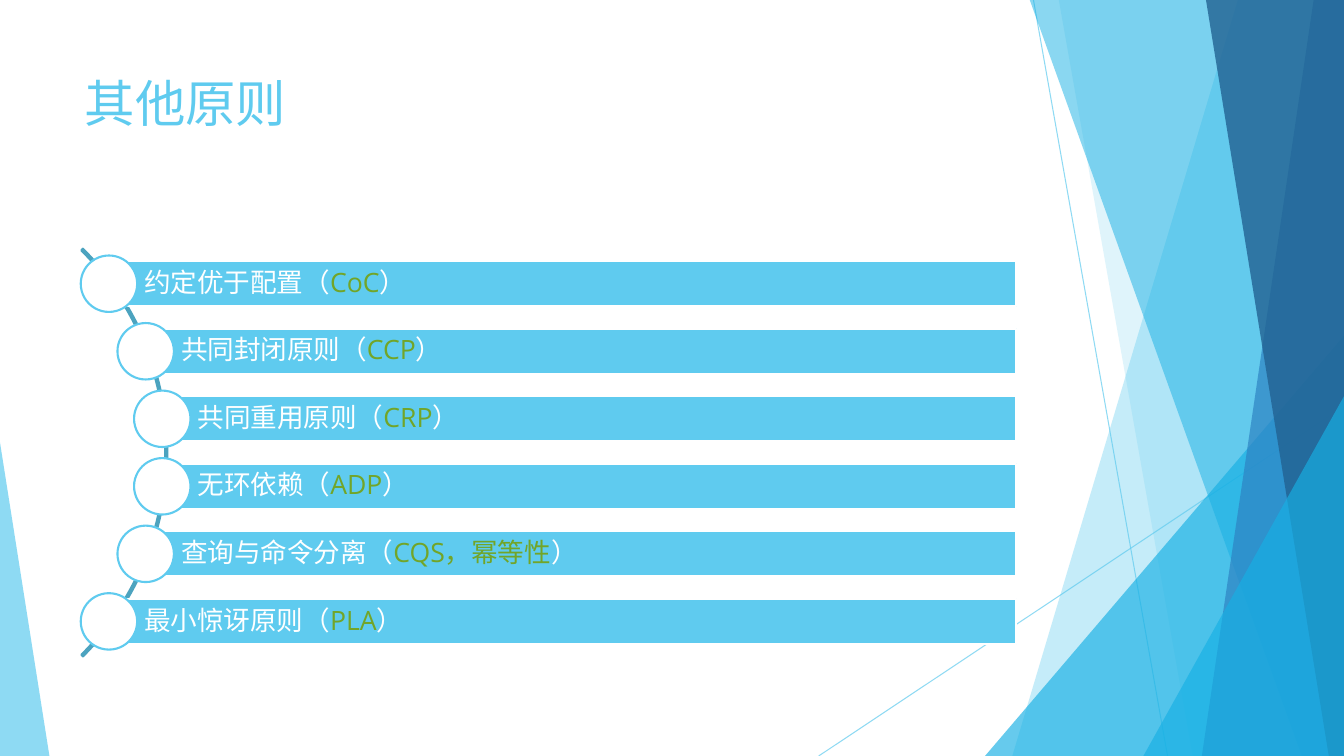
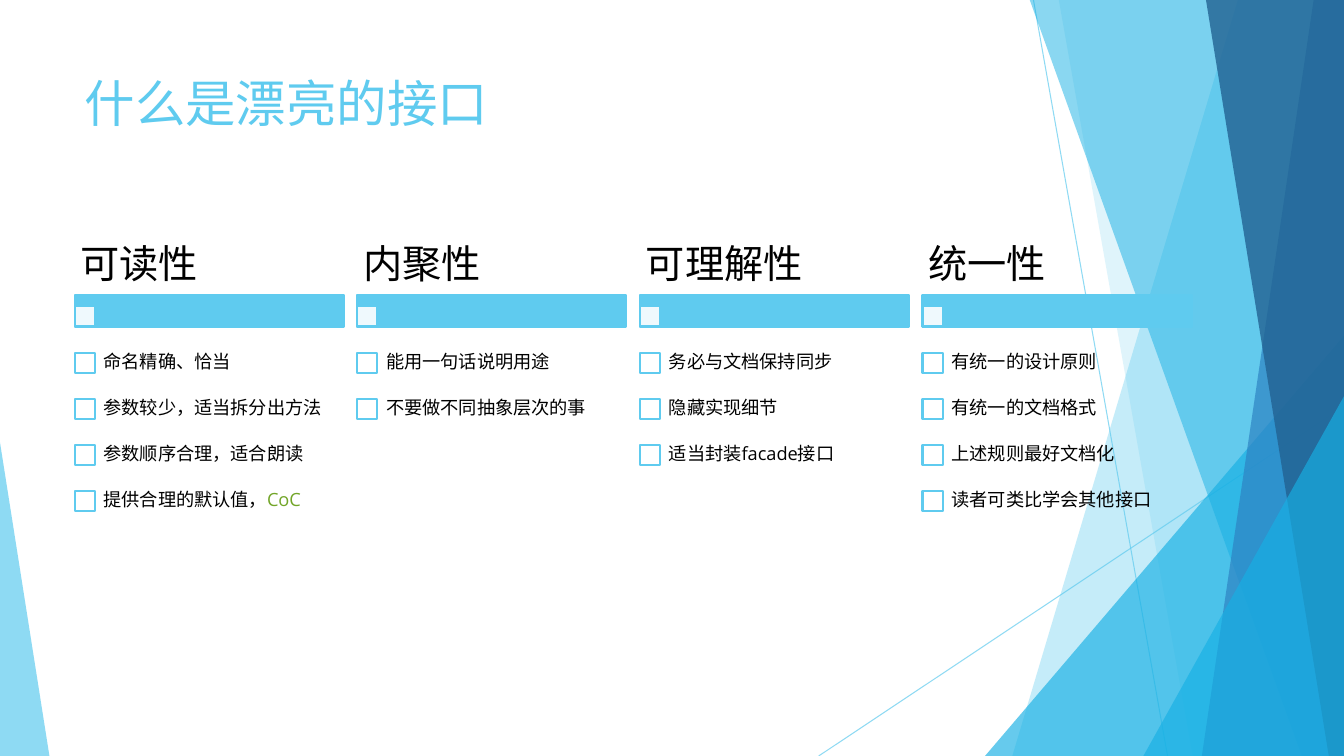
from math import sqrt

from lxml.etree import SubElement
from pptx import Presentation
from pptx.dml.color import RGBColor
from pptx.enum.lang import MSO_LANGUAGE_ID as Language
from pptx.enum.shapes import MSO_CONNECTOR, MSO_SHAPE as Preset
from pptx.enum.text import MSO_ANCHOR as Anchor, PP_ALIGN as Align
from pptx.oxml.ns import qn
from pptx.util import Inches, Pt

# Content: text between bars is highlighted
PRINCIPLES_TITLE = "其他原则"
PRINCIPLES = [
    "约定优于配置（|CoC|）",
    "共同封闭原则（|CCP|）",
    "共同重用原则（|CRP|）",
    "无环依赖（|ADP|）",
    "查询与命令分离（|CQS，幂等性|）",
    "最小惊讶原则（|PLA|）",
]
INTERFACE_TITLE = "什么是漂亮的接口"
QUALITIES = [
    ("可读性", ["命名精确、恰当", "参数较少，适当拆分出方法",
             "参数顺序合理，适合朗读", "提供合理的默认值，|CoC|"]),
    ("内聚性", ["能用一句话说明用途", "不要做不同抽象层次的事"]),
    ("可理解性", ["务必与文档保持同步", "隐藏实现细节", "适当封装facade接口"]),
    ("统一性", ["有统一的设计原则", "有统一的文档格式",
             "上述规则最好文档化", "读者可类比学会其他接口"]),
]

# Shared style
FONT = "Open Sans"
SKY = RGBColor(0x5F, 0xCB, 0xEF)
CYAN = RGBColor(0x17, 0xB0, 0xE4)
BLUE = RGBColor(0x2E, 0x83, 0xC3)
NAVY = RGBColor(0x22, 0x62, 0x92)
TEAL = RGBColor(0x4C, 0xA3, 0xBF)
GREEN = RGBColor(0x72, 0xA5, 0x28)
WHITE = RGBColor(0xFF, 0xFF, 0xFF)
BLACK = RGBColor(0, 0, 0)
WIDTH, HEIGHT = 13.33, 7.5
MARGIN = 0.74

# Backdrop, back to front
RAYS = [((10.25, 0), (11.58, HEIGHT)), ((WIDTH, 4.03), (8.12, HEIGHT))]
FACETS = [  # bands: left edge at top and bottom; triangles: box and apex
    ("band", (12.28, 10.04), SKY, 36),
    ("band", (10.5, 11.83), SKY, 20),
    ("triangle", (9.77, 3.33, 3.56, 4.17, 1), CYAN, 66),
    ("band", (10.21, 12.91), CYAN, 50),
    ("band", (13.03, 11.92), BLUE, 70),
    ("band", (11.96, 13.18), NAVY, 80),
    ("triangle", (11.34, 3.93, 1.99, 3.57, 1), CYAN, 66),
    ("triangle", (0, 4.39, 0.49, 3.11, 0), SKY, 70),
]


def set_opacity(shape, percent):
    """Apply opacity to the first colour of a shape or line."""
    color = shape.element.spPr.find(".//" + qn("a:srgbClr"))
    SubElement(color, qn("a:alpha")).set("val", str(percent * 1000))


def paint(shape, fill=None, line=None, opacity=100):
    shape.shadow.inherit = False
    if fill is None:
        shape.fill.background()
    else:
        shape.fill.solid()
        shape.fill.fore_color.rgb = fill
    if line is None:
        shape.line.fill.background()
    else:
        shape.line.color.rgb = line
        shape.line.width = Pt(1.5)
    if opacity < 100:
        set_opacity(shape, opacity)
    return shape


def add_preset(shapes, preset, left, top, width, height, **style):
    box = [Inches(value) for value in (left, top, width, height)]
    return paint(shapes.add_shape(preset, *box), **style)


def write(shape, text, size, color, insets=None, anchor=None, spacing=None):
    frame = shape.text_frame
    frame.word_wrap = True
    if anchor is not None:
        frame.vertical_anchor = anchor
    if insets:
        (frame.margin_left, frame.margin_top,
         frame.margin_right, frame.margin_bottom) = map(Inches, insets)
    paragraph = frame.paragraphs[0]
    paragraph.alignment = Align.LEFT
    if spacing:
        paragraph.line_spacing = spacing
        paragraph.space_after = Pt(0.35 * size)
    for index, part in enumerate(text.split("|")):
        if part:
            run = paragraph.add_run()
            run.text = part
            run.font.name = FONT
            run.font.size = Pt(size)
            run.font.color.rgb = GREEN if index % 2 else color
            run.font.language_id = Language.SIMPLIFIED_CHINESE


def add_text(shapes, text, left, top, width, height, **style):
    box = [Inches(value) for value in (left, top, width, height)]
    write(shapes.add_textbox(*box), text, anchor=Anchor.MIDDLE,
          spacing=0.9, **style)


def draw_backdrop(shapes):
    parts = []
    for start, end in RAYS:
        points = [Inches(value) for value in (*start, *end)]
        ray = shapes.add_connector(MSO_CONNECTOR.STRAIGHT, *points)
        ray.line.color.rgb = SKY
        ray.line.width = Pt(0.75)
        set_opacity(ray, 70)
        SubElement(ray.element.spPr, qn("a:effectLst"))
        parts.append(ray)
    for kind, geometry, color, opacity in FACETS:
        if kind == "band":
            top_left, bottom_left = geometry
            corners = [(top_left, -0.01), (WIDTH, -0.01),
                       (WIDTH, HEIGHT), (bottom_left, HEIGHT)]
            corners = [(Inches(x), Inches(y)) for x, y in corners]
            builder = shapes.build_freeform(*corners[0])
            builder.add_line_segments(corners[1:], close=True)
            facet = paint(builder.convert_to_shape(), color, opacity=opacity)
        else:
            *box, apex = geometry
            facet = add_preset(shapes, Preset.ISOSCELES_TRIANGLE, *box,
                               fill=color, opacity=opacity)
            facet.adjustments[0] = apex
        parts.append(facet)
    return parts


def add_titled_slide(text):
    slide = presentation.slides.add_slide(layout)
    write(slide.shapes.title, text, 36, SKY)
    return slide


presentation = Presentation()
presentation.slide_width = Inches(WIDTH)
presentation.slide_height = Inches(HEIGHT)

# Shared layout: title place and backdrop
layout = presentation.slide_layouts[5]
title = layout.placeholders[0]
title.left, title.top = Inches(MARGIN), Inches(0.67)
title.width, title.height = Inches(9.4), Inches(1.44)
title.text_frame.vertical_anchor = Anchor.TOP

# Slide 1: principles strung along an arc
slide = add_titled_slide(PRINCIPLES_TITLE)
for part in draw_backdrop(slide.shapes):
    layout.shapes.element.append(part.element)

ARC_X, ARC_Y, ARC_SIZE = -1.2, 4.49, 5.72
BEAD_RADIUS, BEAD_SIZE = 2.83, 0.56
BAR_HEIGHT, BAR_RIGHT, BAR_STEP = 0.45, 10.08, 0.67
arc = add_preset(slide.shapes, Preset.BLOCK_ARC, ARC_X - ARC_SIZE / 2,
                 ARC_Y - ARC_SIZE / 2, ARC_SIZE, ARC_SIZE, line=TEAL)
for index, value in enumerate((189, 27, 0.004)):
    arc.adjustments[index] = value
for row, principle in enumerate(PRINCIPLES):
    offset = (row - (len(PRINCIPLES) - 1) / 2) * BAR_STEP
    x = ARC_X + sqrt(BEAD_RADIUS ** 2 - offset ** 2)
    y = ARC_Y + offset
    bar = add_preset(slide.shapes, Preset.RECTANGLE, x, y - BAR_HEIGHT / 2,
                     BAR_RIGHT - x, BAR_HEIGHT, fill=SKY, line=WHITE)
    write(bar, principle, 19, WHITE, insets=(0.35, 0.05, 0.05, 0.05),
          anchor=Anchor.MIDDLE, spacing=0.9)
    add_preset(slide.shapes, Preset.OVAL, x - BEAD_SIZE / 2,
               y - BEAD_SIZE / 2, BEAD_SIZE, BEAD_SIZE, fill=WHITE, line=SKY)

# Slide 2: four columns of checklists
slide = add_titled_slide(INTERFACE_TITLE)
shapes = slide.shapes
COLUMN_WIDTH, COLUMN_STEP = 2.67, (9.15 - MARGIN) / 3
ITEM_TOP, ITEM_HEIGHT = 3.37, (4.74 - 3.37) / 3
CHECK, INDENT = 0.2, 0.19
for column, (quality, items) in enumerate(QUALITIES):
    left = MARGIN + column * COLUMN_STEP
    add_preset(shapes, Preset.RECTANGLE, left, 2.93, COLUMN_WIDTH, 0.31,
               fill=SKY, line=SKY)
    add_preset(shapes, Preset.RECTANGLE, left, 3.04, CHECK, CHECK,
               fill=WHITE, line=SKY, opacity=90)
    add_text(shapes, quality, left, 2.36, COLUMN_WIDTH, 0.56,
             size=28, color=BLACK, insets=(0.06, 0.04, 0.06, 0.04))
    for row, item in enumerate(items):
        top = ITEM_TOP + row * ITEM_HEIGHT
        add_preset(shapes, Preset.RECTANGLE, left, top + 0.13, CHECK, CHECK,
                   fill=WHITE, line=SKY)
        add_text(shapes, item, left + INDENT, top, COLUMN_WIDTH - INDENT,
                 ITEM_HEIGHT, size=13, color=BLACK, insets=(0.1,) * 4)

presentation.save("out.pptx")
